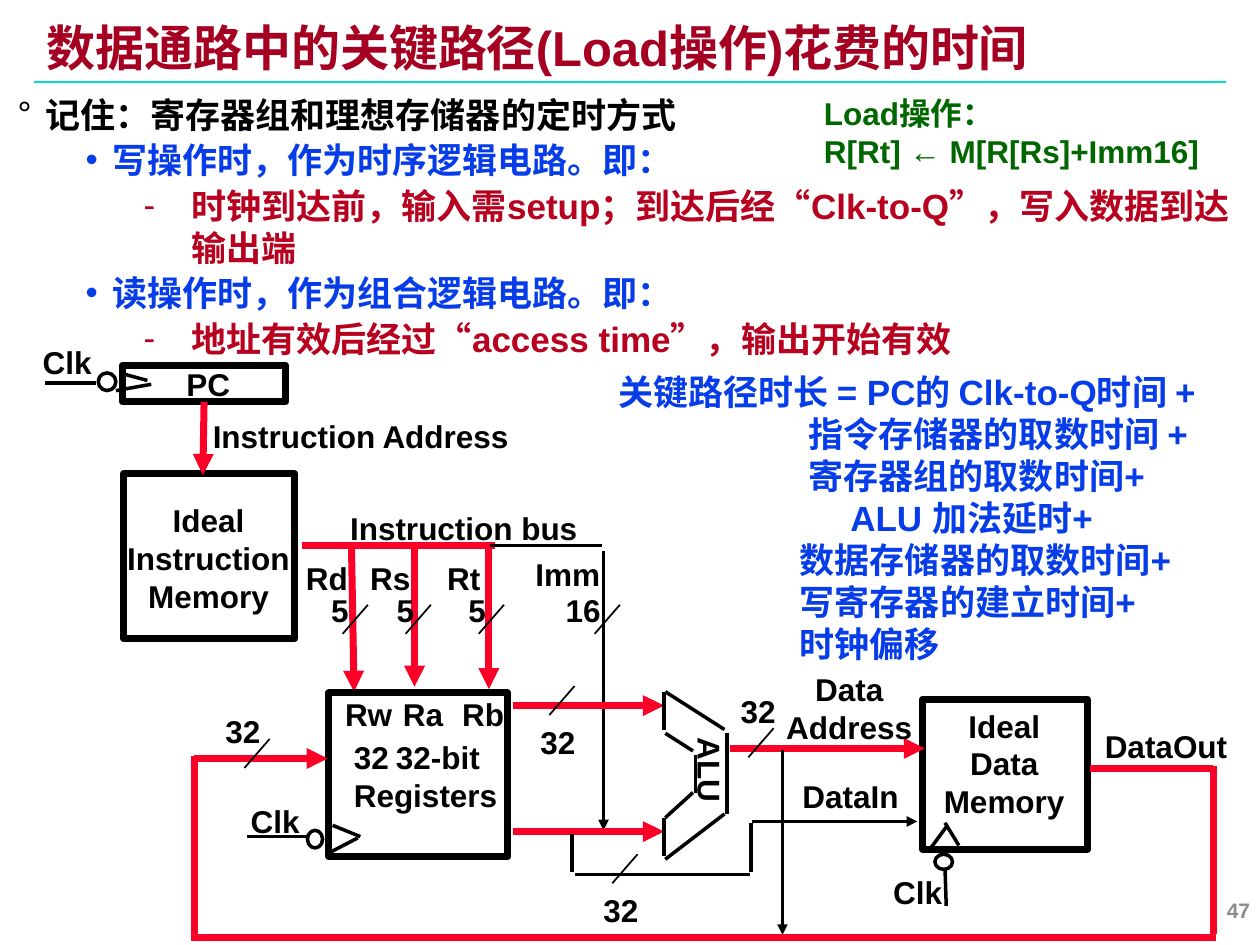
from lxml.etree import SubElement
from pptx import Presentation
from pptx.dml.color import RGBColor
from pptx.enum.shapes import MSO_CONNECTOR, MSO_SHAPE
from pptx.enum.text import MSO_ANCHOR, MSO_AUTO_SIZE, PP_ALIGN
from pptx.oxml.ns import qn
from pptx.util import Inches, Pt

COLORS = {
    "title": "A50021", "rule": "00DFCA", "text": "000000", "blue": "063DE8",
    "crimson": "B7011F", "path": "FC0128", "green": "006600",
    "number": "8C8C8C", "paper": "FFFFFF",
}
SPACE = (" ", 16, "Times New Roman")


def rgb(key):
    return RGBColor.from_string(COLORS[key])


class SlideBuilder:
    font = "Arial"

    def __init__(self, slide):
        self.slide = slide
        self.shapes = slide.shapes

    def add_run(self, paragraph, text, size, color, font=None):
        run = paragraph.add_run()
        run.text = text
        run.font.size = Pt(size)
        run.font.bold = True
        run.font.name = font or self.font
        run.font.color.rgb = rgb(color)

    def set_insets(self, frame, side, end):
        frame.margin_left = frame.margin_right = Inches(side)
        frame.margin_top = frame.margin_bottom = Inches(end)

    def title(self, text, left, top, width, height):
        title = self.shapes.title
        title.left, title.top = Inches(left), Inches(top)
        title.width, title.height = Inches(width), Inches(height)
        frame = title.text_frame
        frame.vertical_anchor = MSO_ANCHOR.TOP
        self.set_insets(frame, 0.07, 0.03)
        paragraph = frame.paragraphs[0]
        paragraph.alignment = PP_ALIGN.LEFT
        paragraph.line_spacing = 0.87
        self.add_run(paragraph, text, 28, "title")

    def text(self, lines, left, top, width, height=0.4, size=18, color="text",
             align=PP_ALIGN.LEFT, wrap=False, fill=None):
        """Each line is a string or a list of (text, size, font) runs."""
        box = self.shapes.add_textbox(Inches(left), Inches(top), Inches(width), Inches(height))
        if fill:
            box.fill.solid()
            box.fill.fore_color.rgb = rgb(fill)
        frame = box.text_frame
        frame.word_wrap = wrap
        frame.auto_size = MSO_AUTO_SIZE.SHAPE_TO_FIT_TEXT
        for index, line in enumerate(lines):
            paragraph = frame.add_paragraph() if index else frame.paragraphs[0]
            paragraph.alignment = align
            runs = [(line, size, self.font)] if isinstance(line, str) else line
            for words, run_size, font in runs:
                self.add_run(paragraph, words, run_size, color, font)
        return box

    def indent(self, paragraph, margin, hanging=0, bullet=None):
        properties = paragraph._p.get_or_add_pPr()
        properties.set("marL", str(Inches(margin)))
        properties.set("indent", str(-Inches(hanging)))
        if bullet:
            SubElement(properties, qn("a:buFont")).set("typeface", self.font)
            SubElement(properties, qn("a:buChar")).set("char", bullet)

    def outlines(self, kind, left, top, width, height, weight):
        shape = self.shapes.add_shape(kind, Inches(left), Inches(top), Inches(width), Inches(height))
        shape.shadow.inherit = False
        shape.fill.background()
        shape.line.color.rgb = rgb("text")
        shape.line.width = Pt(weight)
        return shape

    def block(self, left, top, width, height):
        return self.outlines(MSO_SHAPE.RECTANGLE, left, top, width, height, 4)

    def bubble(self, left, top, width, height):
        return self.outlines(MSO_SHAPE.OVAL, left, top, width, height, 2)

    def wire(self, x1, y1, x2, y2, color="text", weight=2, arrow=False):
        wire = self.shapes.add_connector(
            MSO_CONNECTOR.STRAIGHT, Inches(x1), Inches(y1), Inches(x2), Inches(y2))
        wire.line.color.rgb = rgb(color)
        wire.line.width = Pt(weight)
        properties = wire.element.spPr
        if arrow:
            SubElement(properties.find(qn("a:ln")), qn("a:tailEnd")).set("type", "triangle")
        SubElement(properties, qn("a:effectLst"))
        return wire

    def critical(self, x1, y1, x2, y2, arrow=False):
        return self.wire(x1, y1, x2, y2, "path", 4, arrow)

    def bus_width(self, bits, x, y, left, top, width=0.48, wrap=False):
        """A slash centred on the wire at (x, y), with its bit count."""
        self.wire(x - 0.1, y + 0.115, x + 0.1, y - 0.115, weight=1)
        self.text([bits], left, top, width, wrap=wrap)


def main():
    deck = Presentation()
    deck.slide_width, deck.slide_height = Inches(10), Inches(7.5)
    page = SlideBuilder(deck.slides.add_slide(deck.slide_layouts[5]))

    # Title
    page.wire(0.27, 0.65, 9.73, 0.65, "rule", 1.5)
    page.title("数据通路中的关键路径(Load操作)花费的时间", 0.3, 0.17, 9.03, 0.88)

    # Timing rules: margin, hanging indent, bullet and colour by level
    levels = [(0.22, 0.22, "°", "text"), (0.75, 0.21, "•", "blue"), (1.38, 0.38, "-", "crimson")]
    timing_rules = [
        (0, "记住：寄存器组和理想存储器的定时方式"),
        (1, "写操作时，作为时序逻辑电路。即："),
        (2, "时钟到达前，输入需setup；到达后经“Clk-to-Q”，写入数据到达输出端"),
        (1, "读操作时，作为组合逻辑电路。即："),
        (2, "地址有效后经过“access time”，输出开始有效"),
    ]
    rules = page.text([], 0.07, 0.71, 9.93, 2.21, wrap=True).text_frame
    page.set_insets(rules, 0.07, 0.03)
    for index, (level, words) in enumerate(timing_rules):
        paragraph = rules.add_paragraph() if index else rules.paragraphs[0]
        margin, hanging, bullet, color = levels[level]
        paragraph.level = level
        paragraph.space_before = Pt(2)
        page.indent(paragraph, margin, hanging, bullet)
        page.add_run(paragraph, words, 20, color)

    # Program counter and instruction memory
    counter = page.block(0.97, 2.9, 1.3, 0.29)
    page.block(0.98, 3.76, 1.36, 1.31)
    page.text(["PC"], 1.38, 2.85, 0.55)
    page.text(["Ideal", "Instruction", "Memory"], 0.91, 3.93, 1.49, 1, align=PP_ALIGN.CENTER)
    page.critical(1.61, 3.21, 1.61, 3.77, arrow=True).begin_connect(counter, 2)
    page.text([[("Instruction", 18, "Arial"), SPACE, ("Address", 18, "Arial")]], 1.59, 3.26, 2.55)

    # Instruction bus and its fields
    page.text(["Instruction bus"], 2.68, 3.99, 2.05)
    page.critical(2.4, 4.33, 3.93, 4.33)
    page.wire(3.89, 4.33, 4.78, 4.33)
    page.critical(2.79, 4.35, 2.81, 5.49, arrow=True)
    page.critical(3.29, 4.33, 3.29, 5.45, arrow=True)
    page.critical(3.88, 4.35, 3.88, 5.47, arrow=True)
    page.wire(4.79, 4.37, 4.79, 6.59, arrow=True)
    fields = [("Rd", 2.33, 2.82, 2.53), ("Rs", 2.84, 3.32, 3.05), ("Rt", 3.45, 3.9, 3.62)]
    for field, left, slash_x, count_left in fields:
        page.text([field], left, 4.39, 0.53)
        page.bus_width("5", slash_x, 4.915, count_left, 4.64, 0.4, wrap=True)
    page.text(["Imm"], 4.15, 4.36, 0.85, wrap=True)
    page.bus_width("16", 4.82, 4.915, 4.39, 4.64, 0.49, wrap=True)

    # Register file
    page.block(2.61, 5.5, 1.42, 1.3)
    for port, left in [("Rw", 2.64), ("Ra", 3.1), ("Rb", 3.57)]:
        page.text([port], left, 5.47, 0.6)
    page.text([[("32", 18, "Arial"), SPACE, ("32-bit", 18, "Arial")], "Registers"],
              2.71, 5.81, 1.36, 0.7)
    page.critical(4.07, 5.6, 5.27, 5.6, arrow=True)
    page.critical(4.07, 6.6, 5.27, 6.6, arrow=True)
    page.bus_width("32", 4.46, 5.56, 4.19, 5.69)

    # ALU outline
    alu_edges = [
        (5.27, 5.49, 5.27, 5.79), (5.28, 5.49, 5.75, 5.79), (5.28, 5.82, 5.5, 5.96),
        (5.52, 5.99, 5.52, 6.29), (5.77, 5.82, 5.77, 6.46), (5.28, 6.49, 5.5, 6.29),
        (5.27, 6.49, 5.27, 6.79), (5.28, 6.82, 5.75, 6.46),
    ]
    for edge in alu_edges:
        page.wire(*edge)
    page.text(["ALU"], 5.25, 5.94, 0.77).rotation = 90

    # Data memory with its address and data inputs
    page.block(7.32, 5.55, 1.31, 1.19)
    page.text(["Ideal", "Data", "Memory"], 7.39, 5.56, 1.16, 1, align=PP_ALIGN.CENTER)
    page.critical(5.79, 5.94, 7.34, 5.94, arrow=True)
    page.text(["Data", "Address"], 6.14, 5.27, 1.2, 0.7, align=PP_ALIGN.CENTER)
    page.bus_width("32", 6.04, 5.895, 5.78, 5.44)
    page.wire(6.21, 5.95, 6.21, 7.42, arrow=True)
    page.text(["DataIn"], 6.27, 6.12, 1.19, wrap=True)
    page.wire(4.54, 6.62, 4.54, 6.92)
    page.wire(4.56, 6.94, 5.95, 6.94)
    page.wire(5.96, 6.53, 5.96, 6.92)
    page.wire(5.97, 6.52, 7.28, 6.52, arrow=True)
    page.bus_width("32", 4.96, 6.895, 4.69, 7.02)

    # Write-back loop
    page.text(["DataOut"], 8.67, 5.72, 1.17)
    page.critical(8.65, 6.1, 9.63, 6.1)
    page.critical(9.63, 6.08, 9.63, 7.41)
    page.critical(9.65, 7.44, 1.52, 7.44)
    page.critical(1.54, 6, 1.54, 7.41)
    page.critical(1.54, 6.02, 2.6, 6.02, arrow=True)
    page.bus_width("32", 2.04, 5.98, 1.69, 5.6)

    # Clock inputs: label corner, bubble, then wedge and lead wires
    clocks = [
        ((0.24, 2.67), (0.78, 2.96, 0.14, 0.14),
         [(0.95, 2.96, 1.17, 3.02), (1.2, 3.05, 0.92, 3.1), (0.76, 3.04, 0.36, 3.04)]),
        ((1.89, 6.32), (2.44, 6.59, 0.12, 0.14),
         [(2.64, 6.55, 2.86, 6.64), (2.84, 6.65, 2.61, 6.77), (2.45, 6.64, 1.96, 6.64)]),
        ((6.99, 6.88), (7.42, 6.78, 0.14, 0.12),
         [(7.38, 6.74, 7.52, 6.55), (7.5, 6.53, 7.61, 6.71), (7.5, 6.89, 7.51, 7.19)]),
    ]
    for corner, bubble, wires in clocks:
        page.text(["Clk"], *corner, 0.59)
        page.bubble(*bubble)
        for ends in wires:
            page.wire(*ends)

    # Load operation and critical path delay
    page.text(["Load操作：", "R[Rt] ← M[R[Rs]+Imm16]"], 6.44, 0.7, 3.19, 0.7,
              color="green", wrap=True, fill="paper")
    delays = [
        ("关键路径时长 = PC的 Clk-to-Q时间 +", 0), ("指令存储器的取数时间 +", 1.51),
        ("寄存器组的取数时间+", 1.51), ("ALU 加法延时+", 1.84),
        ("数据存储器的取数时间+", 1.44), ("写寄存器的建立时间+", 1.44), ("时钟偏移", 1.44),
    ]
    delay_box = page.text([words for words, _ in delays], 4.81, 2.89, 5.2, 2.45,
                          size=20, color="blue", wrap=True)
    for paragraph, (_, margin) in zip(delay_box.text_frame.paragraphs, delays):
        page.indent(paragraph, margin)

    # Page number
    page.text(["47"], 7.77, 7.02, 2.25, size=12, color="number", align=PP_ALIGN.RIGHT,
              wrap=True).text_frame.vertical_anchor = MSO_ANCHOR.MIDDLE

    deck.save("out.pptx")


if __name__ == "__main__":
    main()
